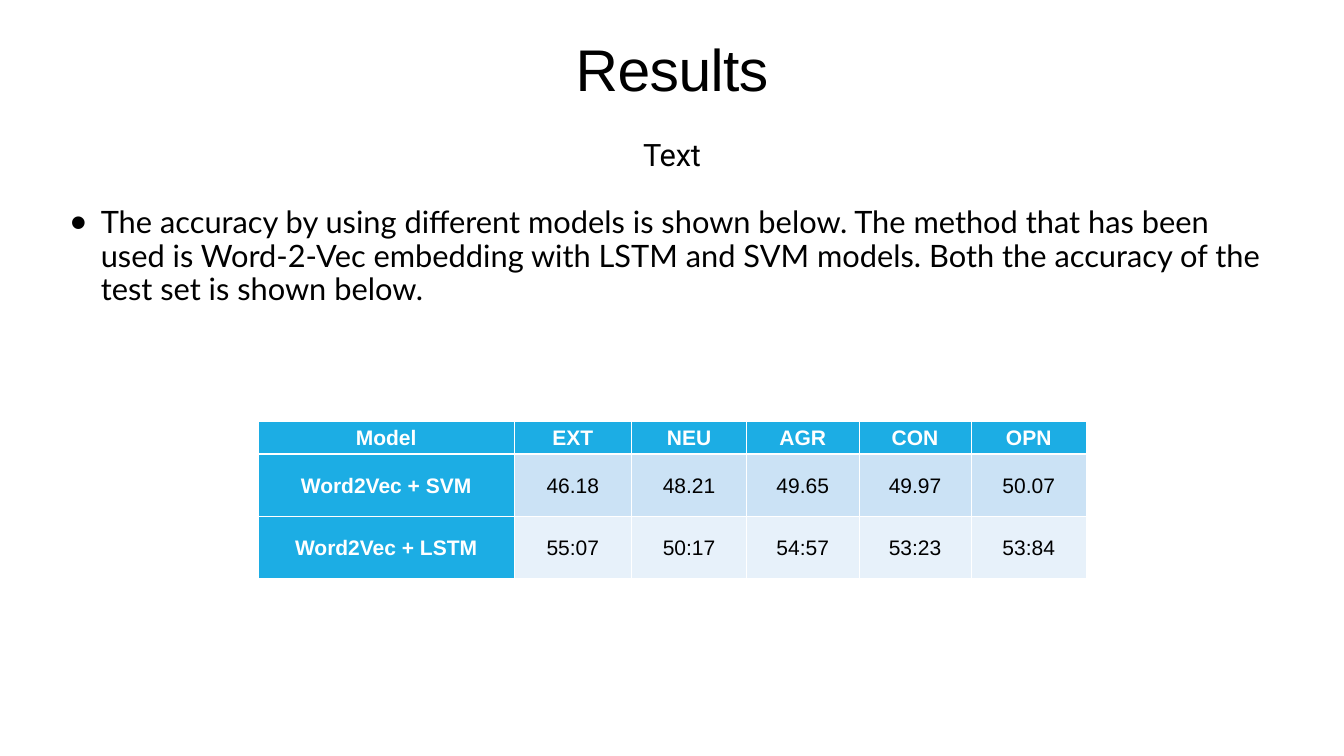
from dataclasses import dataclass

from lxml import etree
from pptx import Presentation
from pptx.dml.color import RGBColor
from pptx.enum.text import MSO_ANCHOR, MSO_AUTO_SIZE, PP_ALIGN
from pptx.oxml.ns import qn
from pptx.util import Emu, Pt

CENTER, LEFT = PP_ALIGN.CENTER, PP_ALIGN.LEFT
TOP, MIDDLE = MSO_ANCHOR.TOP, MSO_ANCHOR.MIDDLE
NO_AUTOFIT = MSO_AUTO_SIZE.NONE
EMU_PER_PX = 9525


@dataclass(frozen=True)
class Theme:
    ink: str = "000000"
    paper: str = "FFFFFF"
    accent: str = "1CADE4"
    bands: tuple[str, ...] = ("CBE2F5", "E7F1FA")
    title_font: str = "Arial"
    body_font: str = "Lato"
    subtitle_font: str = "Roboto"
    title_size: int = 84
    body_size: int = 44
    table_size: int = 30


@dataclass(frozen=True)
class Box:
    left: int
    top: int
    width: int
    height: int

    def emu(self) -> tuple[Emu, ...]:
        return tuple(px(n) for n in (self.left, self.top, self.width, self.height))


@dataclass(frozen=True)
class ModelResult:
    model: str
    scores: tuple[str, ...]


THEME = Theme()
SLIDE_WIDTH, SLIDE_HEIGHT = 2560, 1440
TITLE_BOX = Box(128, 82, 2304, 181)
SUBTITLE_BOX = Box(128, 251, 2304, 87)
BODY_BOX = Box(128, 389, 2304, 891)
COLUMN_WIDTHS = (487, 224, 219, 214, 214, 219)
ROW_HEIGHTS = (63, 118, 118)
TABLE_BOX = Box(492, 802, sum(COLUMN_WIDTHS), sum(ROW_HEIGHTS))
TEXT_INSET = 6
BULLET_INDENT = 58

TRAITS = ("EXT", "NEU", "AGR", "CON", "OPN")
RESULTS = (
    ModelResult("Word2Vec + SVM", ("46.18", "48.21", "49.65", "49.97", "50.07")),
    ModelResult("Word2Vec + LSTM", ("55:07", "50:17", "54:57", "53:23", "53:84")),
)
SUMMARY = (
    "The accuracy by using different models is shown below. "
    "The method that has been used is Word-2-Vec embedding with LSTM and SVM models. "
    "Both the accuracy of the test set is shown below."
)


def px(length: int) -> Emu:
    return Emu(length * EMU_PER_PX)


def write_text(frame, text: str, *, font: str, size: int, color: str = THEME.ink,
               bold: bool = False, align=CENTER, line_spacing: float = 1.0,
               space_before: int = 0, tracking: int = 0):
    paragraph = frame.paragraphs[0]
    paragraph.alignment = align
    paragraph.line_spacing = line_spacing
    paragraph.space_before = Pt(space_before)
    run = paragraph.add_run()
    run.text = text
    run.font.name = font
    run.font.size = Pt(size)
    run.font.bold = bold
    run.font.color.rgb = RGBColor.from_string(color)
    if tracking:
        run.font._element.set("spc", str(tracking))
    return paragraph


def prepare_frame(holder, box: Box, anchor):
    holder.left, holder.top, holder.width, holder.height = box.emu()
    frame = holder.text_frame
    frame.word_wrap = True
    frame.auto_size = NO_AUTOFIT
    frame.vertical_anchor = anchor
    frame.margin_left = frame.margin_right = px(TEXT_INSET)
    frame.margin_top = frame.margin_bottom = px(TEXT_INSET)
    return frame


def add_bullet(paragraph) -> None:
    properties = paragraph._p.get_or_add_pPr()
    properties.set("marL", str(px(BULLET_INDENT)))
    properties.set("indent", str(-px(BULLET_INDENT)))
    etree.SubElement(properties, qn("a:buSzPct"), val="150000")
    etree.SubElement(properties, qn("a:buFont"), typeface=THEME.title_font)
    etree.SubElement(properties, qn("a:buChar"), char="•")


def add_borders(cell, widths: dict[str, int]) -> None:
    properties = cell._tc.get_or_add_tcPr()
    for side, width in widths.items():
        line = etree.SubElement(properties, qn(f"a:ln{side}"), w=str(Pt(width)))
        fill = etree.SubElement(line, qn("a:solidFill"))
        etree.SubElement(fill, qn("a:srgbClr"), val=THEME.paper)


def fill_cell(cell, text: str, row: int, is_heading: bool) -> None:
    cell.margin_left = cell.margin_right = cell.margin_top = cell.margin_bottom = 0
    cell.vertical_anchor = MIDDLE
    add_borders(cell, {"L": 1, "R": 1, "T": 3 if row == 1 else 1, "B": 3 if row == 0 else 1})
    cell.fill.solid()
    background = THEME.accent if is_heading else THEME.bands[row - 1]
    cell.fill.fore_color.rgb = RGBColor.from_string(background)
    write_text(cell.text_frame, text, font=THEME.title_font, size=THEME.table_size,
               color=THEME.paper if is_heading else THEME.ink,
               bold=is_heading, line_spacing=1.07)


def add_results_table(slide) -> None:
    rows = [("Model", *TRAITS)] + [(result.model, *result.scores) for result in RESULTS]
    table = slide.shapes.add_table(len(rows), len(COLUMN_WIDTHS), *TABLE_BOX.emu()).table
    for column, width in zip(table.columns, COLUMN_WIDTHS):
        column.width = px(width)
    for table_row, height in zip(table.rows, ROW_HEIGHTS):
        table_row.height = px(height)
    for r, values in enumerate(rows):
        for c, value in enumerate(values):
            fill_cell(table.cell(r, c), value, r, is_heading=r == 0 or c == 0)


def main() -> None:
    presentation = Presentation()
    presentation.slide_width, presentation.slide_height = px(SLIDE_WIDTH), px(SLIDE_HEIGHT)
    slide = presentation.slides.add_slide(presentation.slide_layouts[1])

    heading = prepare_frame(slide.shapes.title, TITLE_BOX, TOP)
    write_text(heading, "Results", font=THEME.title_font, size=THEME.title_size,
               line_spacing=0.8, tracking=-80)

    summary = prepare_frame(slide.placeholders[1], BODY_BOX, TOP)
    add_bullet(write_text(summary, SUMMARY, font=THEME.body_font, size=THEME.body_size,
                          align=LEFT, line_spacing=0.9, space_before=24))

    add_results_table(slide)

    subtitle = prepare_frame(slide.shapes.add_textbox(*SUBTITLE_BOX.emu()), SUBTITLE_BOX, MIDDLE)
    write_text(subtitle, "Text", font=THEME.subtitle_font, size=THEME.body_size, tracking=-40)

    presentation.save("out.pptx")


if __name__ == "__main__":
    main()
